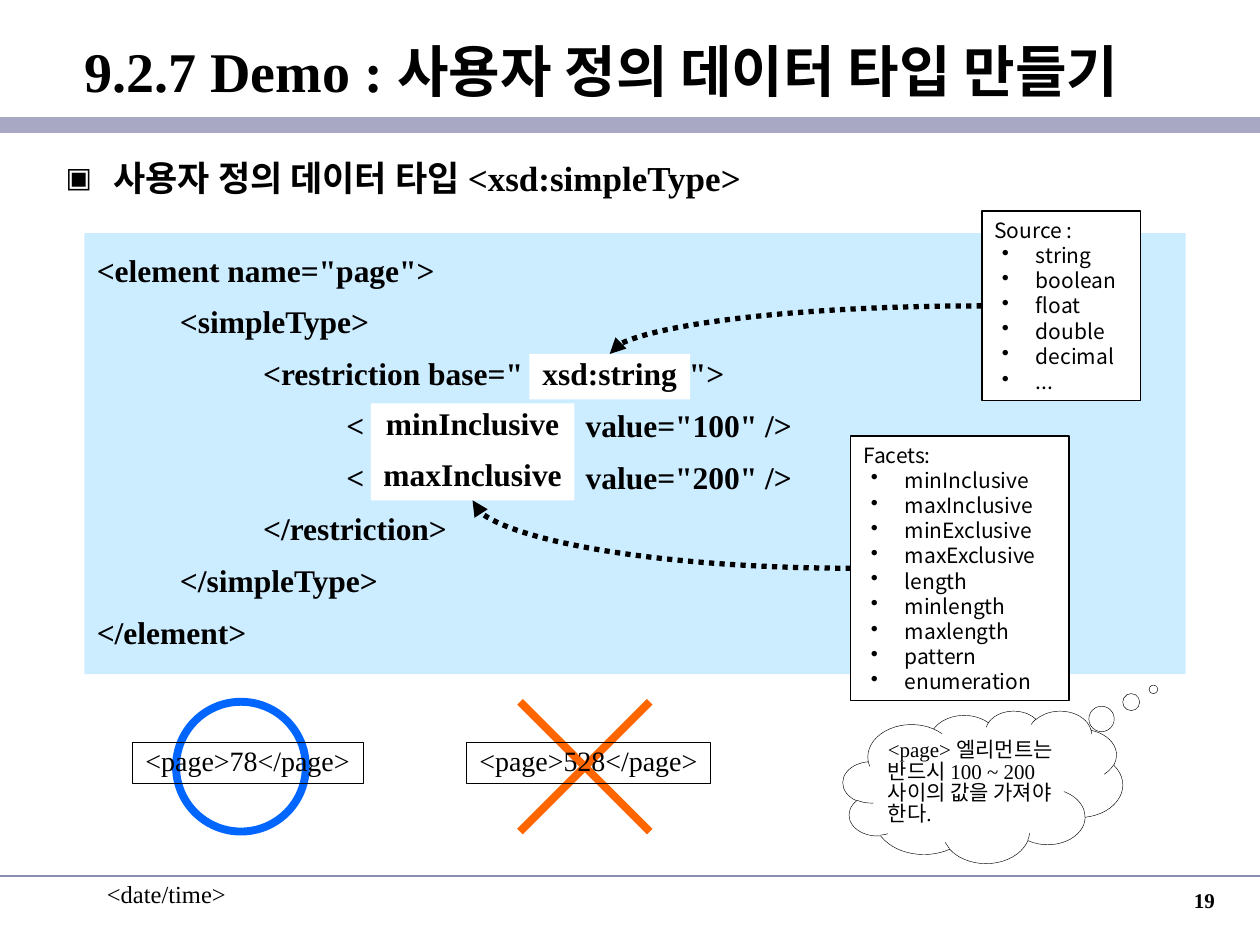
from collections import namedtuple

from lxml import etree
from pptx import Presentation, util as u
from pptx.dml.color import RGBColor
from pptx.enum import dml, shapes, text
from pptx.oxml.ns import qn

BLACK = RGBColor(0x00, 0x00, 0x00)
WHITE = RGBColor(0xFF, 0xFF, 0xFF)
PALE_BLUE = RGBColor(0xCC, 0xEC, 0xFF)
BLUE = RGBColor(0x00, 0x66, 0xFF)
ORANGE = RGBColor(0xFF, 0x66, 0x00)
LAVENDER = RGBColor(0xA8, 0xA8, 0xC4)
SLATE = RGBColor(0x8C, 0x8C, 0xB2)
SERIF, SANS = "Times New Roman", "Noto Sans CJK KR"
SLIDE_WIDTH, SLIDE_HEIGHT = u.Inches(10), u.Inches(7.5)
COLUMN, ROW = SLIDE_WIDTH / 100, SLIDE_HEIGHT / 75
TAB = 0.66

CODE = [
    (0, '<element name="page">', None, None),
    (1, "<simpleType>", None, None),
    (2, '<restriction base="', 4.7, '">'),
    (3, "<", 3.88, 'value="100" />'),
    (3, "<", 3.88, 'value="200" />'),
    (2, "</restriction>", None, None),
    (1, "</simpleType>", None, None),
    (0, "</element>", None, None),
]
SOURCES = ["string", "boolean", "float", "double", "decimal", "..."]
FACETS = ["minInclusive", "maxInclusive", "minExclusive", "maxExclusive", "length",
          "minlength", "maxlength", "pattern", "enumeration"]


class Box(namedtuple("Box", "left top width height")):
    def point(self, across, down):
        return self.left + across * self.width, self.top + down * self.height

    def share(self, across, down, wide, high):
        return Box(*self.point(across, down), wide * self.width, high * self.height)

    def emu(self):
        return [round(value) for value in self]


def cells(column, row, columns, rows):
    return Box(column * COLUMN, row * ROW, columns * COLUMN, rows * ROW)


def format_paragraph(paragraph, size, bold=False, name=SERIF, spacing=None, before=0,
                     align=text.PP_ALIGN.LEFT):
    font = paragraph.font
    font.name, font.size, font.bold = name, u.Pt(size), bold
    font.color.rgb = BLACK
    paragraph.alignment = align
    paragraph.space_before = u.Pt(before)
    if spacing:
        paragraph.line_spacing = spacing
    defaults = paragraph._p.pPr.find(qn("a:defRPr"))
    etree.SubElement(defaults, qn("a:ea")).set("typeface", SANS)


def set_bullet(paragraph, character, margin, indent, percent=100):
    properties = paragraph._p.get_or_add_pPr()
    properties.set("marL", str(u.Inches(margin)))
    properties.set("indent", str(u.Inches(indent)))
    size = etree.Element(qn("a:buSzPct"), val=str(percent * 1000))
    bullet = etree.Element(qn("a:buChar"), char=character)
    defaults = properties.find(qn("a:defRPr"))
    for element in (size, bullet):
        defaults.addprevious(element)


def set_tabs(paragraph, positions):
    tabs = etree.Element(qn("a:tabLst"))
    for position in positions:
        etree.SubElement(tabs, qn("a:tab"), pos=str(u.Inches(position)), algn="l")
    paragraph._p.pPr.find(qn("a:defRPr")).addprevious(tabs)


def add_block(slide, box, preset=shapes.MSO_SHAPE.RECTANGLE, fill=None, line=None,
              width=0.75, anchor=text.MSO_ANCHOR.TOP, wrap=True):
    shape = slide.shapes.add_shape(preset, *box.emu())
    shape.shadow.inherit = False
    if fill is None:
        shape.fill.background()
    else:
        shape.fill.solid()
        shape.fill.fore_color.rgb = fill
    if line is None:
        shape.line.fill.background()
    else:
        shape.line.color.rgb = line
        shape.line.width = u.Pt(width)
    shape.text_frame.vertical_anchor = anchor
    shape.text_frame.word_wrap = wrap
    return shape


def add_line(slide, start, end, color, width, kind=shapes.MSO_CONNECTOR.STRAIGHT):
    points = [round(value) for value in (*start, *end)]
    connector = slide.shapes.add_connector(kind, *points)
    connector.line.color.rgb = color
    connector.line.width = u.Pt(width)
    etree.SubElement(connector._element.spPr, qn("a:effectLst"))
    return connector


def add_curved_arrow(slide, start, end):
    arrow = add_line(slide, start, end, BLACK, 3, shapes.MSO_CONNECTOR.CURVE)
    arrow.line.dash_style = dml.MSO_LINE.ROUND_DOT
    properties = arrow._element.spPr
    properties.find(qn("a:prstGeom")).set("prst", "curvedConnector2")
    etree.SubElement(properties.find(qn("a:ln")), qn("a:tailEnd"), type="triangle")


def fill_placeholder(placeholder, box, wording, size, anchor):
    placeholder.left, placeholder.top, placeholder.width, placeholder.height = box.emu()
    frame = placeholder.text_frame
    frame.text = wording
    frame.vertical_anchor = anchor
    frame.auto_size = text.MSO_AUTO_SIZE.NONE
    format_paragraph(frame.paragraphs[0], size, bold=True)
    return frame


def add_header(slide, box):
    title = fill_placeholder(slide.shapes.title, box.share(0, 0.06, 1, 0.54),
                             "9.2.7 Demo : 사용자 정의 데이터 타입 만들기", 32,
                             text.MSO_ANCHOR.MIDDLE)
    title.margin_left = round(6.7 * COLUMN)
    body = fill_placeholder(slide.placeholders[1], box.share(0.042, 0.71, 0.916, 0.27),
                            "사용자 정의 데이터 타입 <xsd:simpleType>", 20,
                            text.MSO_ANCHOR.TOP)
    paragraph = body.paragraphs[0]
    paragraph.space_before = u.Pt(5)
    set_bullet(paragraph, "▣", 0.38, -0.38, 80)
    add_line(slide, box.point(0, 0.59), box.point(1, 0.59), LAVENDER, 9.25)


def add_code(slide, box):
    panel = add_block(slide, box, fill=PALE_BLUE, anchor=text.MSO_ANCHOR.MIDDLE)
    frame = panel.text_frame
    for number, (level, opening, stop, closing) in enumerate(CODE):
        paragraph = frame.add_paragraph() if number else frame.paragraphs[0]
        paragraph.text = "\t" * level + opening + (f"\t{closing}" if closing else "")
        format_paragraph(paragraph, 18, bold=True, spacing=0.85, before=11.2)
        stops = [TAB * step for step in range(1, level + 1)]
        set_tabs(paragraph, stops + ([stop] if stop else []))


def add_centered(slide, box, lines, size, before, bold=False, **style):
    frame = add_block(slide, box, wrap=False, **style).text_frame
    frame.text = "\n".join(lines)
    for paragraph in frame.paragraphs:
        format_paragraph(paragraph, size, bold, spacing=0.85, before=before,
                         align=text.PP_ALIGN.CENTER)


def add_choices(slide, box, heading, choices):
    frame = add_block(slide, box, fill=WHITE, line=BLACK).text_frame
    frame.text = "\n".join([heading, *choices])
    for number, paragraph in enumerate(frame.paragraphs):
        format_paragraph(paragraph, 12, name=SANS)
        if number:
            set_bullet(paragraph, "•", 0.33, -0.27)


def add_schema(slide, box):
    add_code(slide, box)
    sources = box.share(0.815, -0.05, 0.144, 0.43)
    facets = box.share(0.696, 0.46, 0.198, 0.6)
    base = box.share(0.404, 0.274, 0.146, 0.103)
    limits = box.share(0.26, 0.386, 0.185, 0.22)
    add_choices(slide, sources, "Source :", SOURCES)
    add_choices(slide, facets, "Facets:", FACETS)
    add_centered(slide, base, ["xsd:string"], 18, 11.2, bold=True, fill=WHITE)
    add_centered(slide, limits, ["minInclusive", "maxInclusive"], 18, 11.2, bold=True,
                 fill=WHITE)
    add_curved_arrow(slide, sources.point(0, 0.5), base.point(0.5, 0))
    add_curved_arrow(slide, facets.point(0, 0.5), limits.point(0.5, 1))


def add_example(slide, box, wording, mark_left, valid):
    mark = Box(box.left + mark_left * box.width, box.top, box.height, box.height)
    if valid:
        add_block(slide, mark, shapes.MSO_SHAPE.OVAL, line=BLUE, width=4.5)
    else:
        for start, end in ((0, 1), (1, 0)):
            add_line(slide, mark.point(0, start), mark.point(1, end), ORANGE, 4.5)
    add_centered(slide, box.share(0, 0.31, 1, 0.32), [wording], 16, 10, line=BLACK,
                 width=0.25)


def add_thought(slide, box):
    cloud = add_block(slide, box, shapes.MSO_SHAPE.CLOUD_CALLOUT, fill=WHITE, line=BLACK,
                      width=0.25, anchor=text.MSO_ANCHOR.MIDDLE)
    cloud.adjustments[0], cloud.adjustments[1] = 0.61, -0.64
    frame = cloud.text_frame
    frame.margin_left, frame.margin_right = u.Inches(0.05), 0
    frame.text = "<page> 엘리먼트는 반드시 100 ~ 200 사이의 값을 가져야 한다."
    format_paragraph(frame.paragraphs[0], 12, spacing=0.85, before=7.5)


def add_footer(slide, box):
    add_line(slide, box.point(0, 0.04), box.point(1, 0.04), SLATE, 1)
    for across, down, wording, size, bold, align in (
        (0.075, 0, "<date/time>", 14, False, text.PP_ALIGN.LEFT),
        (0.766, 0.11, "19", 12, True, text.PP_ALIGN.RIGHT),
    ):
        note = slide.shapes.add_textbox(*box.share(across, down, 0.208, 0.88).emu())
        note.text_frame.word_wrap = True
        note.text_frame.text = wording
        format_paragraph(note.text_frame.paragraphs[0], size, bold, align=align)


def main():
    presentation = Presentation()
    presentation.slide_width, presentation.slide_height = SLIDE_WIDTH, SLIDE_HEIGHT
    slide = presentation.slides.add_slide(presentation.slide_layouts[1])
    add_header(slide, cells(0, 0, 100, 16.8))
    add_schema(slide, cells(6.7, 18.5, 87.4, 35))
    add_example(slide, cells(10.5, 55.7, 18.3, 10.3), "<page>78</page>", 0.19, True)
    add_example(slide, cells(37, 55.7, 19.4, 10.3), "<page>528</page>", 0.22, False)
    add_thought(slide, cells(66.9, 56.4, 22.2, 12.1))
    add_footer(slide, cells(0, 69.3, 100, 5.7))
    presentation.save("out.pptx")


if __name__ == "__main__":
    main()
